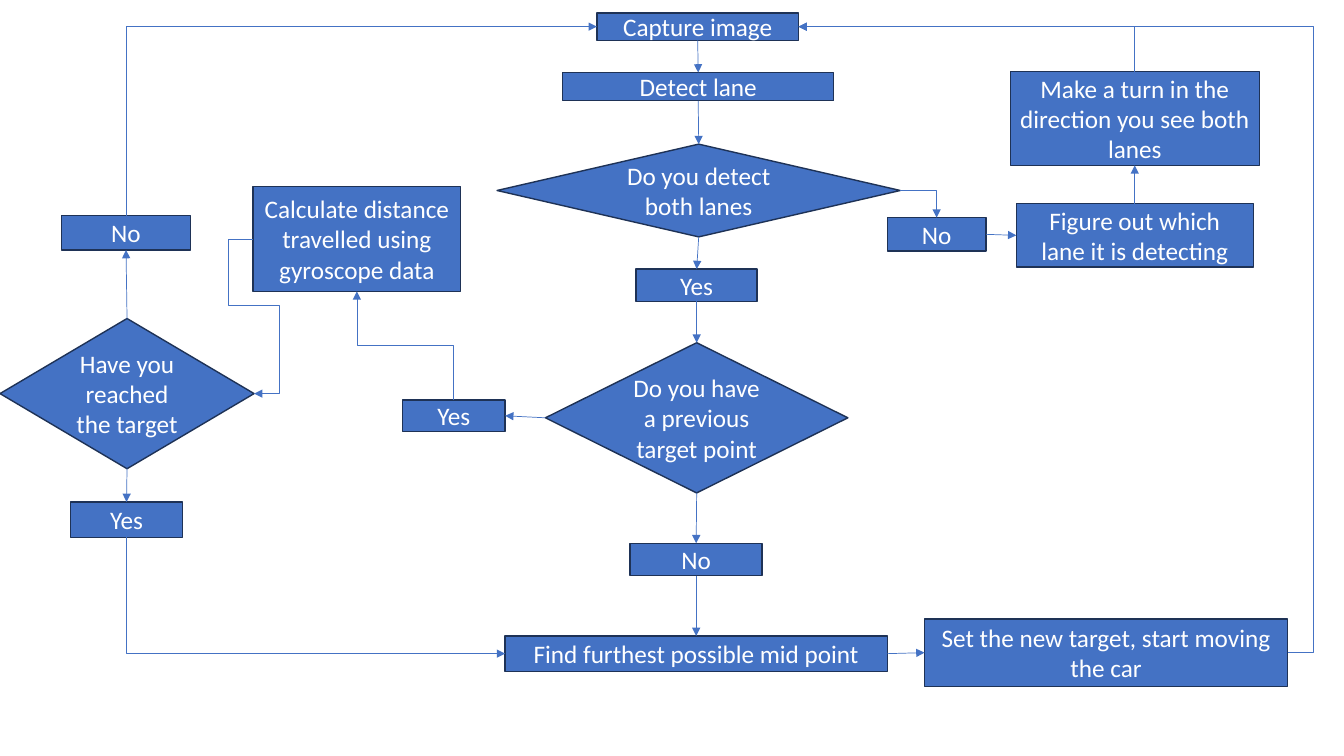
from lxml import etree
from pptx import Presentation
from pptx.dml.color import RGBColor
from pptx.enum.shapes import MSO_CONNECTOR, MSO_SHAPE
from pptx.enum.text import MSO_ANCHOR, PP_ALIGN
from pptx.oxml.ns import qn
from pptx.util import Inches, Pt

RECTANGLE, DIAMOND = MSO_SHAPE.RECTANGLE, MSO_SHAPE.DIAMOND
STRAIGHT, ELBOW = MSO_CONNECTOR.STRAIGHT, MSO_CONNECTOR.ELBOW
CENTER, MIDDLE = PP_ALIGN.CENTER, MSO_ANCHOR.MIDDLE
TOP, LEFT, BOTTOM, RIGHT = range(4)  # connection sites

BLUE, NAVY, WHITE = "4472C4", "1E3256", "FFFFFF"
BLANK_LAYOUT = 6

# key: (shape, text, left, top, width, height)
NODES = {
    "capture": (RECTANGLE, "Capture image", 5.92, 0.13, 2, 0.27),
    "detect": (RECTANGLE, "Detect lane", 5.58, 0.72, 2.69, 0.28),
    "both lanes": (DIAMOND, "Do you detect both lanes", 4.93, 1.43, 4, 0.92),
    "both yes": (RECTANGLE, "Yes", 6.31, 2.67, 1.2, 0.32),
    "previous": (DIAMOND, "Do you have a previous target point", 5.41, 3.4, 3, 1.49),
    "reached no": (RECTANGLE, "No", 0.61, 2.14, 1.28, 0.34),
    "both no": (RECTANGLE, "No", 8.8, 2.16, 0.98, 0.33),
    "which lane": (RECTANGLE, "Figure out which lane it is detecting", 10.08, 2.02, 2.35, 0.63),
    "turn": (RECTANGLE, "Make a turn in the direction you see both lanes", 10.02, 0.71, 2.47, 0.93),
    "previous no": (RECTANGLE, "No", 6.25, 5.39, 1.31, 0.32),
    "mid point": (RECTANGLE, "Find furthest possible mid point", 5.01, 6.31, 3.79, 0.35),
    "reached": (DIAMOND, "Have you reached the target", 0, 3.16, 2.52, 1.49),
    "reached yes": (RECTANGLE, "Yes", 0.7, 4.98, 1.11, 0.35),
    "new target": (RECTANGLE, "Set the new target, start moving the car", 9.17, 6.14, 3.6, 0.67),
    "previous yes": (RECTANGLE, "Yes", 3.99, 3.97, 1.02, 0.31),
    "distance": (RECTANGLE, "Calculate distance travelled using gyroscope data", 2.51, 1.85, 2.06, 1.04),
}

# (source, side, target, side)
STRAIGHT_ARROWS = [
    ("capture", BOTTOM, "detect", TOP),
    ("detect", BOTTOM, "both lanes", TOP),
    ("both lanes", BOTTOM, "both yes", TOP),
    ("both yes", BOTTOM, "previous", TOP),
    ("previous", BOTTOM, "previous no", TOP),
    ("previous no", BOTTOM, "mid point", TOP),
    ("previous", LEFT, "previous yes", RIGHT),
    ("both no", RIGHT, "which lane", LEFT),
    ("which lane", TOP, "turn", BOTTOM),
    ("reached", TOP, "reached no", BOTTOM),
    ("reached", BOTTOM, "reached yes", TOP),
    ("mid point", RIGHT, "new target", LEFT),
]

# (source, side, target, side, positions of the inner segments)
BENT_ARROWS = [
    ("reached no", TOP, "capture", LEFT, ()),
    ("turn", TOP, "capture", RIGHT, ()),
    ("reached yes", BOTTOM, "mid point", LEFT, ()),
    ("both lanes", RIGHT, "both no", TOP, ()),
    ("new target", RIGHT, "capture", RIGHT, (13.02,)),
    ("previous yes", TOP, "distance", BOTTOM, (3.43,)),
    ("distance", LEFT, "reached", RIGHT, (2.26, 3.03, 2.77)),
]


def color(value):
    """Turn a hex string into a colour."""
    return RGBColor.from_string(value)


def add_node(slide, kind, text, left, top, width, height):
    """Add one box or diamond with centred text."""
    shape = slide.shapes.add_shape(
        kind, Inches(left), Inches(top), Inches(width), Inches(height))
    shape.shadow.inherit = False
    shape.fill.solid()
    shape.fill.fore_color.rgb = color(BLUE)
    shape.line.color.rgb = color(NAVY)
    shape.line.width = Pt(1)
    frame = shape.text_frame
    frame.word_wrap = True
    frame.vertical_anchor = MIDDLE
    paragraph = frame.paragraphs[0]
    paragraph.alignment = CENTER
    run = paragraph.add_run()
    run.text = text
    run.font.name = "Calibri"
    run.font.size = Pt(18)
    run.font.color.rgb = color(WHITE)
    return shape


def add_arrow(slide, kind, source, source_side, target, target_side):
    """Add a thin arrow glued to two nodes."""
    arrow = slide.shapes.add_connector(kind, 0, 0, 0, 0)
    arrow.begin_connect(source, source_side)
    arrow.end_connect(target, target_side)
    arrow.line.color.rgb = color(BLUE)
    arrow.line.width = Pt(0.5)
    properties = arrow._element.spPr
    etree.SubElement(properties.find(qn("a:ln")), qn("a:tailEnd"), type="triangle")
    etree.SubElement(properties, qn("a:effectLst"))
    return arrow


def add_bent_arrow(slide, source, source_side, target, target_side, bends):
    """Add an elbow arrow whose inner segments lie at the given positions."""
    arrow = add_arrow(slide, ELBOW, source, source_side, target, target_side)
    start = (arrow.begin_x, arrow.begin_y)
    delta = (arrow.end_x - start[0], arrow.end_y - start[1])
    center = [begin + change / 2 for begin, change in zip(start, delta)]
    vertical = source_side in (TOP, BOTTOM)
    # A quarter turn makes the first segment vertical.
    across, down = (delta[1], -delta[0]) if vertical else delta
    arrow.width, arrow.height = abs(across), abs(down)
    arrow.left = int(center[0] - abs(across) / 2)
    arrow.top = int(center[1] - abs(down) / 2)

    properties = arrow._element.spPr
    transform = properties.find(qn("a:xfrm"))
    transform.set("rot", str(90 * 60000 if vertical else 0))
    transform.set("flipH", str(int(across < 0)))
    transform.set("flipV", str(int(down < 0)))

    geometry = properties.find(qn("a:prstGeom"))
    geometry.set("prst", f"bentConnector{len(bends) + 2}")
    guides = geometry.find(qn("a:avLst"))
    for index, bend in enumerate(bends):
        axis = (index + vertical) % 2
        ratio = (Inches(bend) - start[axis]) / delta[axis]
        etree.SubElement(guides, qn("a:gd"), name=f"adj{index + 1}",
                         fmla=f"val {round(ratio * 100000)}")


def main():
    """Build the lane-following flowchart."""
    presentation = Presentation()
    presentation.slide_width = Inches(13.33)
    presentation.slide_height = Inches(7.5)
    slide = presentation.slides.add_slide(presentation.slide_layouts[BLANK_LAYOUT])
    nodes = {key: add_node(slide, *node) for key, node in NODES.items()}
    for source, source_side, target, target_side in STRAIGHT_ARROWS:
        add_arrow(slide, STRAIGHT, nodes[source], source_side,
                  nodes[target], target_side)
    for source, source_side, target, target_side, bends in BENT_ARROWS:
        add_bent_arrow(slide, nodes[source], source_side,
                       nodes[target], target_side, bends)
    presentation.save("out.pptx")


main()
